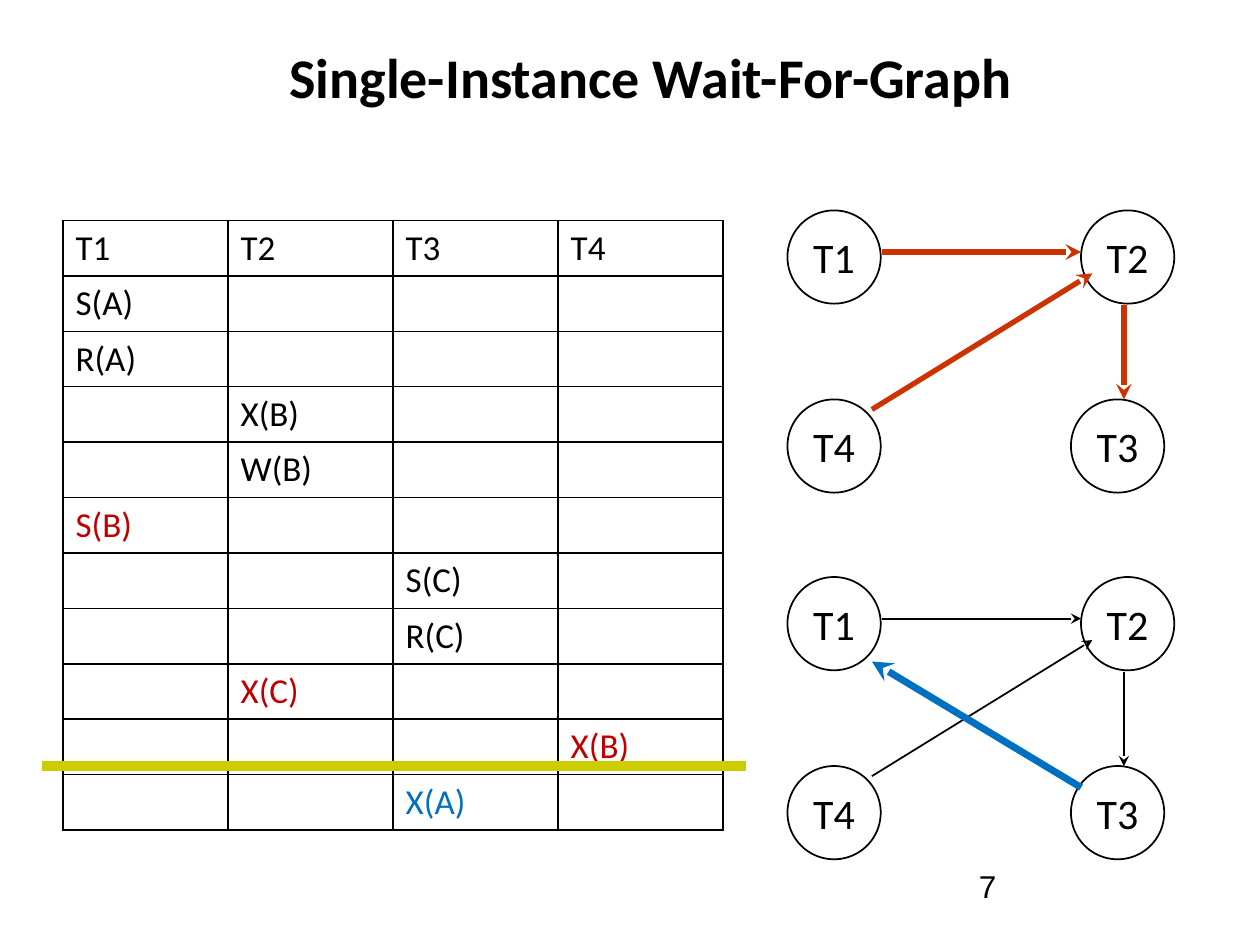
from dataclasses import dataclass

import pptx
import pptx.dml.color
import pptx.enum.shapes
import pptx.enum.text
import pptx.oxml
import pptx.oxml.ns
import pptx.util

Inches, Pt = pptx.util.Inches, pptx.util.Pt
qn = pptx.oxml.ns.qn
ALIGN, ANCHOR = pptx.enum.text.PP_ALIGN, pptx.enum.text.MSO_ANCHOR
NS = pptx.oxml.ns.nsdecls("a")
BLACK, RED, ORANGE, BLUE, OLIVE = "000000", "C00000", "CC3300", "0070C0", "CCCC00"


@dataclass
class Node:
    name: str
    x: float
    y: float


@dataclass
class Edge:
    x1: float
    y1: float
    x2: float
    y2: float
    color: str = BLACK
    width: float = 1
    arrow: bool = True


@dataclass
class Entry:
    row: int
    col: int
    text: str
    color: str = BLACK


def rgb(color: str) -> pptx.dml.color.RGBColor:
    return pptx.dml.color.RGBColor.from_string(color)


def write(tf, text: str, size: float, color: str = BLACK, font: str = "Calibri",
          bold: bool = False, align=ALIGN.LEFT) -> None:
    p = tf.paragraphs[0]
    p.alignment = align
    r = p.add_run()
    r.text = text
    for key, value in {"size": Pt(size), "name": font, "bold": bold}.items():
        setattr(r.font, key, value)
    r.font.color.rgb = rgb(color)


def add_text(s, x: float, y: float, w: float, h: float, anchor, text: str, **fmt) -> None:
    tf = s.shapes.add_textbox(Inches(x), Inches(y), Inches(w), Inches(h)).text_frame
    tf.word_wrap = True
    tf.vertical_anchor = anchor
    write(tf, text, **fmt)


def add_node(s, node: Node, dy: float) -> None:
    sp = s.shapes.add_shape(pptx.enum.shapes.MSO_SHAPE.OVAL, Inches(node.x),
                            Inches(node.y + dy), Inches(0.74), Inches(0.74))
    sp.shadow.inherit = False
    sp.fill.background()
    sp.line.color.rgb = rgb(BLACK)
    sp.line.width = Pt(1)
    tf = sp.text_frame
    tf.word_wrap = False
    tf.vertical_anchor = ANCHOR.MIDDLE
    write(tf, node.name, 24, align=ALIGN.CENTER)


def add_edge(s, e: Edge, dy: float = 0) -> None:
    line = s.shapes.add_connector(
        pptx.enum.shapes.MSO_CONNECTOR.STRAIGHT, Inches(e.x1), Inches(e.y1 + dy),
        Inches(e.x2), Inches(e.y2 + dy))
    line.line.color.rgb = rgb(e.color)
    line.line.width = Pt(e.width)
    props = line._element.spPr
    if e.arrow:
        props.find(qn("a:ln")).append(
            pptx.oxml.parse_xml(f'<a:tailEnd {NS} type="stealth"/>'))
    props.append(pptx.oxml.parse_xml(f"<a:effectLst {NS}/>"))


def style_cell(cell) -> None:
    props = cell._tc.get_or_add_tcPr()
    for side in "LRTB":
        props.append(pptx.oxml.parse_xml(
            f'<a:ln{side} {NS} w="{Pt(1)}"><a:solidFill><a:srgbClr val="{BLACK}"/>'
            f"</a:solidFill></a:ln{side}>"))
    cell.fill.background()


def add_schedule(s, entries: list[Entry], rows: int, cols: int) -> None:
    row_h, col_w = 0.44, 1.31
    table = s.shapes.add_table(rows, cols, Inches(0.5), Inches(1.75),
                               Inches(cols * col_w), Inches(rows * row_h)).table
    table.first_row = table.horz_banding = False
    for row in table.rows:
        row.height = Inches(row_h)
    for col in table.columns:
        col.width = Inches(col_w)
    for cell in table.iter_cells():
        style_cell(cell)
    for e in entries:
        write(table.cell(e.row, e.col).text_frame, e.text, 20, e.color)


prs = pptx.Presentation()
prs.slide_width, prs.slide_height = Inches(10), Inches(7.5)
s = prs.slides.add_slide(prs.slide_layouts[6])

# Title and page number
add_text(s, 0.75, 0.25, 8.83, 0.67, ANCHOR.BOTTOM, "Single-Instance Wait-For-Graph",
         size=32, bold=True, align=ALIGN.CENTER)
add_text(s, 7.67, 6.83, 2.33, 0.52, ANCHOR.TOP, "7", size=18, font="Arial")

# Wait-for graphs: the lower one repeats the upper and closes the cycle
NODES = [Node("T1", 6.25, 1.67), Node("T2", 8.58, 1.67),
         Node("T4", 6.25, 3.17), Node("T3", 8.5, 3.17)]
WAITS = [(7, 2, 8.58, 2), (8.92, 2.42, 8.92, 3.17), (6.92, 3.25, 8.67, 2.17)]
CYCLE_EDGE = Edge(8.58, 6.25, 6.92, 5.25, BLUE, 4)
for dy, color, width in [(0, ORANGE, 3), (2.91, BLACK, 1)]:
    for node in NODES:
        add_node(s, node, dy)
    for ends in WAITS:
        add_edge(s, Edge(*ends, color, width), dy)
add_edge(s, CYCLE_EDGE)

# Lock schedule
HEADERS = [Entry(0, col, f"T{col + 1}") for col in range(4)]
STEPS = [(0, "S(A)"), (0, "R(A)"), (1, "X(B)"), (1, "W(B)"), (0, "S(B)", RED),
         (2, "S(C)"), (2, "R(C)"), (1, "X(C)", RED), (3, "X(B)", RED), (2, "X(A)", BLUE)]
entries = HEADERS + [Entry(row, *step) for row, step in enumerate(STEPS, 1)]
add_schedule(s, entries, len(STEPS) + 1, len(HEADERS))

# Divider before the last step
add_edge(s, Edge(0.33, 6.08, 5.92, 6.08, OLIVE, 6, arrow=False))

prs.save("out.pptx")
